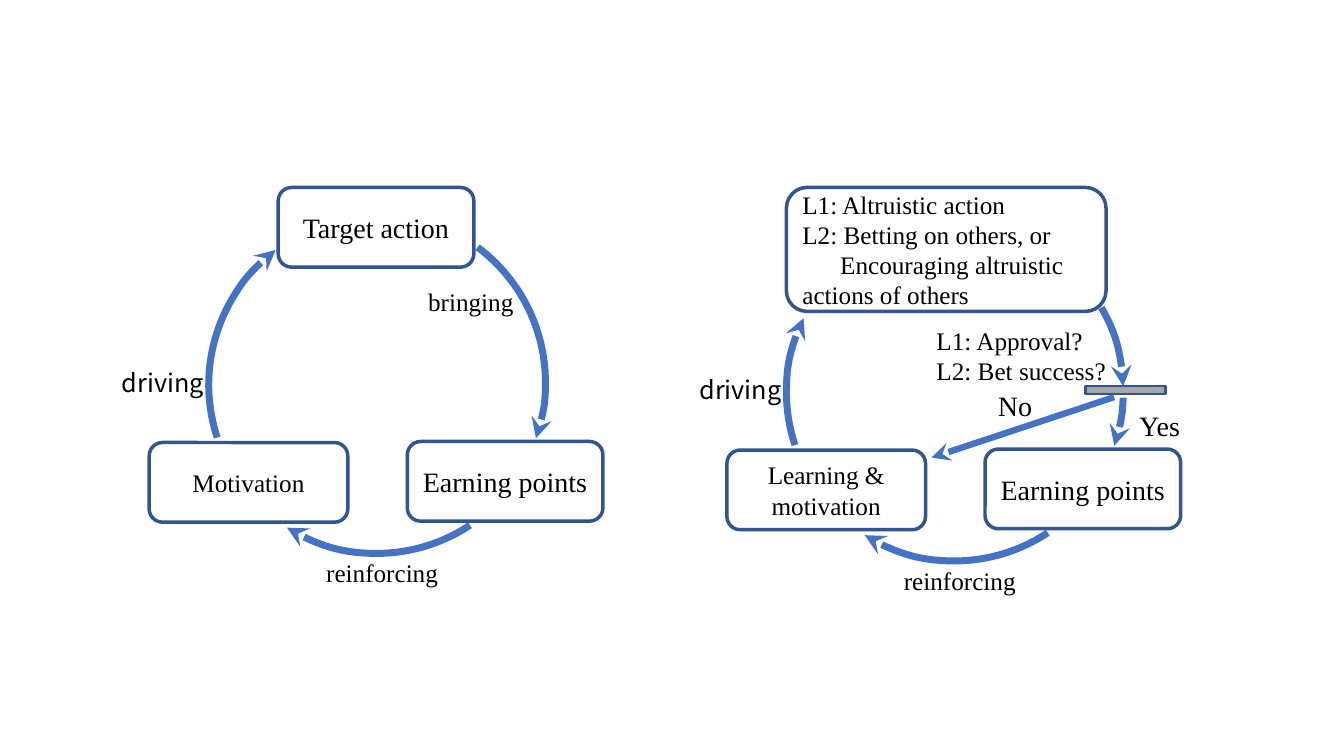
from lxml.etree import SubElement
from pptx import Presentation
from pptx.dml.color import RGBColor
from pptx.enum.shapes import MSO_CONNECTOR as LINK, MSO_SHAPE as SHAPE
from pptx.enum.text import MSO_ANCHOR as ANCHOR, PP_ALIGN as ALIGN
from pptx.oxml.ns import qn
from pptx.util import Inches, Pt

CELL = 0.1
SERIF, SANS = "Times New Roman", "Noto Sans CJK JP"
ARROW, BORDER, BAR, WHITE, BLACK = "4472C4", "325491", "A6A6A6", "FFFFFF", "000000"


def color(hex_code):
    """Turn a hex string into a colour."""
    return RGBColor.from_string(hex_code)


def grid(*cells):
    """Turn counts of grid cells into lengths."""
    return [Inches(round(count * CELL, 3)) for count in cells]


def write(shape, text, size=18, font=SERIF, align=ALIGN.LEFT, anchor=ANCHOR.TOP, indents=()):
    """Write one paragraph per line, with first-line indents in cells by line number."""
    frame = shape.text_frame
    frame.word_wrap = True
    frame.vertical_anchor = anchor
    for number, line in enumerate(text.split("\n")):
        para = frame.paragraphs[0] if number == 0 else frame.add_paragraph()
        para.alignment = align
        if number in indents:
            para._p.get_or_add_pPr().set("indent", str(grid(indents[number])[0]))
        span = para.add_run()
        span.text = line
        span.font.size = Pt(size)
        span.font.name = font
        span.font.color.rgb = color(BLACK)


def outline(shape, hex_code, width, arrow=False):
    """Draw the line of a shape or connector, with an optional arrowhead."""
    shape.line.color.rgb = color(hex_code)
    shape.line.width = Pt(width)
    if arrow:
        SubElement(shape.element.spPr.find(qn("a:ln")), qn("a:tailEnd"), type="stealth")


def add_block(page, kind, place, fill=None, line=BORDER, width=2.5, arrow=False):
    """Add a preset shape without shadow."""
    shape = page.shapes.add_shape(kind, *grid(*place))
    shape.shadow.inherit = False
    if fill:
        shape.fill.solid()
        shape.fill.fore_color.rgb = color(fill)
    else:
        shape.fill.background()
    outline(shape, line, width, arrow)
    return shape


def add_box(page, place, text, fill=None, align=ALIGN.CENTER, **style):
    """Add a rounded box with text."""
    box = add_block(page, SHAPE.ROUNDED_RECTANGLE, place, fill)
    write(box, text, align=align, anchor=ANCHOR.MIDDLE, **style)


def add_label(page, place, text, **style):
    """Add a text label."""
    write(page.shapes.add_textbox(*grid(*place)), text, **style)


def add_arc(page, left, top, start, end, turn=0):
    """Add a curved arrow along the circle of a cycle."""
    arc = add_block(page, SHAPE.ARC, (left, top, 33.5, 33.5), None, ARROW, 5, True)
    arc.adjustments[0], arc.adjustments[1] = start, end
    arc.rotation = turn


def add_link(page, start, end):
    """Add a straight arrow."""
    link = page.shapes.add_connector(LINK.STRAIGHT, *grid(*start, *end))
    outline(link, ARROW, 4.5, True)
    SubElement(link.element.spPr, qn("a:effectLst"))


def add_cycle(page, left, top, motive, driving_end):
    """Add the parts that both cycles share."""
    add_arc(page, left + 9.6, top + 2.8, 151.04, driving_end, 270)
    add_arc(page, left + 9.5, top + 2.8, 195.84, 19.24, 90)
    add_box(page, (left + 3.7, top + 25.3, 19.7, 7.9), motive, WHITE)
    add_box(page, (left + 29.3, top + 25.2, 19.4, 7.9), "Earning points", size=20)
    add_label(page, (left + 15.3, top + 36.2, 23, 4), "reinforcing", align=ALIGN.CENTER)
    add_label(page, (left, top + 17.3, 14.4, 4), "driving", font=SANS)


def add_basic_cycle(page):
    """Add the left cycle."""
    add_arc(page, 20.6, 21.2, 184.06, 11.59)
    add_cycle(page, 11.1, 18.6, "Motivation", 193.72)
    add_box(page, (27.6, 18.6, 19.4, 7.9), "Target action", size=20)
    add_label(page, (35.2, 27.9, 23, 4), "bringing", align=ALIGN.CENTER)


def add_altruistic_cycle(page):
    """Add the right cycle with its approval gate."""
    add_arc(page, 77.9, 22, 198.34, 215.11)
    add_arc(page, 77.9, 22.1, 163.24, 173.25, 90)
    add_cycle(page, 68.4, 19.35, "Learning & motivation", 177.61)
    actions = ("L1: Altruistic action\nL2: Betting on others, or\n"
               "Encouraging altruistic actions of others")
    add_box(page, (78, 18.6, 31.7, 12.3), actions, align=ALIGN.LEFT, indents={2: 3.75})
    add_label(page, (91.9, 31.8, 19.7, 7.1), "L1: Approval?\nL2: Bet success?")
    add_block(page, SHAPE.RECTANGLE, (107.7, 38.3, 7.9, 0.8), BAR, width=2)
    add_link(page, (110.5, 39.4), (92.4, 45.4))
    add_label(page, (112, 40, 7.7, 4.4), "Yes", size=20)
    add_label(page, (98, 38.1, 7.7, 4.4), "No", size=20)


def main():
    """Build the slide with both cycles."""
    deck = Presentation()
    deck.slide_width, deck.slide_height = Inches(13.33), Inches(7.5)
    page = deck.slides.add_slide(deck.slide_layouts[6])
    add_basic_cycle(page)
    add_altruistic_cycle(page)
    deck.save("out.pptx")


if __name__ == "__main__":
    main()
